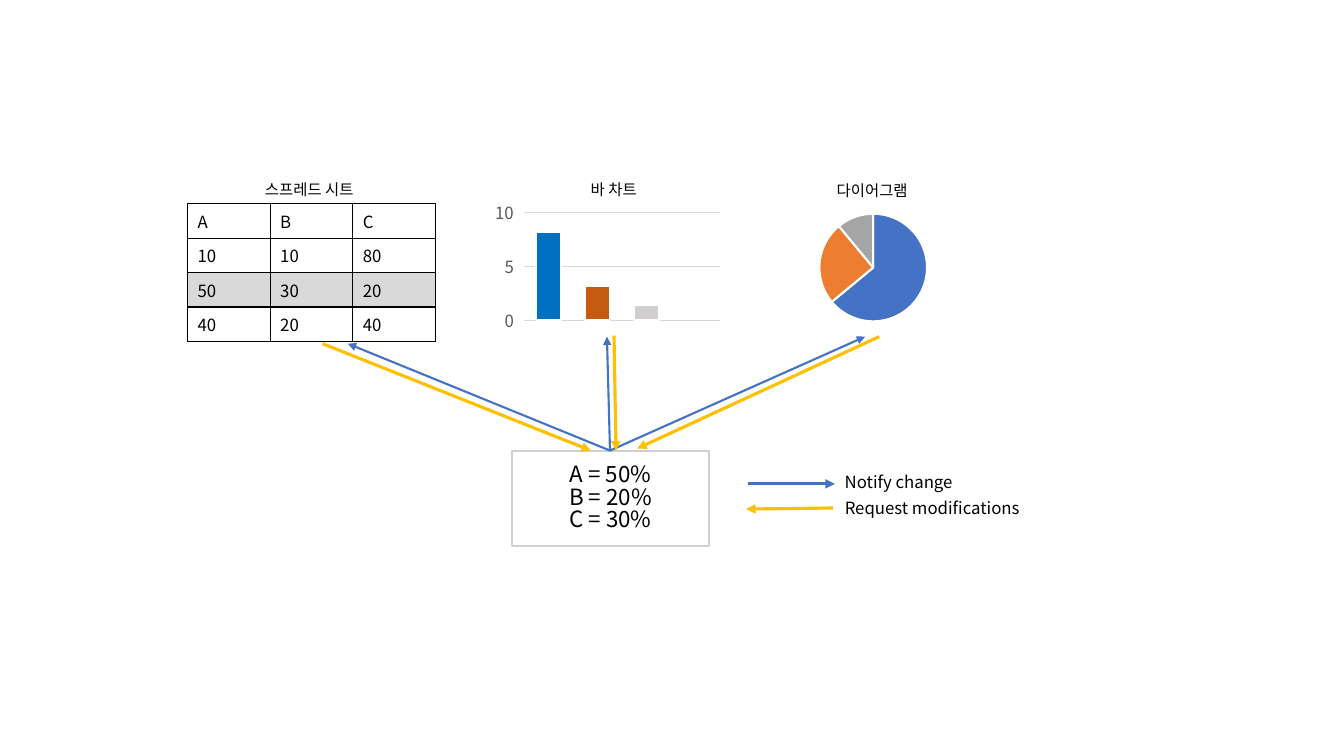
"""Build a slide where one data model feeds a table, a bar chart and a pie chart."""
import pptx
import pptx.chart.data
import pptx.dml.color
import pptx.enum.chart
import pptx.enum.shapes
import pptx.enum.text
import pptx.oxml
import pptx.oxml.ns
import pptx.util

Inches = pptx.util.Inches
Pt = pptx.util.Pt
FONT = "Noto Sans CJK KR"
HEX = {"black": "000000", "white": "FFFFFF", "blue": "4472C4", "gold": "FFC000",
       "orange": "ED7D31", "gray": "A5A5A5", "navy": "0070C0", "rust": "C55A11",
       "silver": "D0CECE", "pale": "D6DCE5", "grid": "D9D9D9", "text": "595959"}

MODEL = ["A = 50%", "B = 20%", "C = 30%"]
ROWS = [["A", "B", "C"], ["10", "10", "80"], ["50", "30", "20"], ["40", "20", "40"]]
MARKED = 2
CATS = ["1", "2", "3", ""]
PIE = {"kind": "PIE", "left": 7.42, "vals": [64, 25, 11, None],
       "tints": ["blue", "orange", "gray", "gold"], "plot": (0.1, 0.11, 0.87, 0.78)}
BARS = {"kind": "COLUMN_CLUSTERED", "left": 4.87, "vals": [8.2, 3.2, 1.4, None],
        "tints": ["navy", "rust", "silver", "pale"], "plot": (0.14, 0.1, 0.84, 0.78)}
HUB = (6.05, 4.47)
ARROWS = [
    (HUB, (3.45, 3.41), "blue", 1.5),
    (HUB, (6.02, 3.34), "blue", 1.5),
    (HUB, (8.58, 3.34), "blue", 1.5),
    ((8.26, 5.04), (7.4, 5.05), "gold", 2.25),
    ((3.2, 3.41), (5.86, 4.47), "gold", 2.25),
    ((6.09, 3.33), (6.11, 4.47), "gold", 2.25),
    ((8.72, 3.34), (6.32, 4.45), "gold", 2.25),
    ((7.42, 4.8), (8.28, 4.8), "blue", 2.25),
]
LABELS = [
    ("Notify change", 8.28, 4.63, 1.36, 0.3, 12),
    ("Request modifications", 8.28, 4.89, 1.95, 0.3, 12),
    ("스프레드 시트", 2.53, 1.73, 1.23, 0.29, 11),
    ("바 차트", 5.76, 1.73, 0.75, 0.29, 11),
    ("다이어그램", 8.2, 1.74, 1.03, 0.29, 11),
]


def tint(name):
    return pptx.dml.color.RGBColor.from_string(HEX[name])


def paint(fill, name):
    fill.solid()
    fill.fore_color.rgb = tint(name)


def stroke(line, name, width):
    line.color.rgb = tint(name)
    line.width = Pt(width)


def style(font, size, name="black"):
    font.size = Pt(size)
    font.name = FONT
    font.color.rgb = tint(name)


def write(frame, text, size):
    frame.text = text
    for para in frame.paragraphs:
        for run in para.runs:
            style(run.font, size)
            latin = run.font._element.find(pptx.oxml.ns.qn("a:latin"))
            latin.addnext(xml(f'<a:ea {NS} typeface="{FONT}"/>'))


NS = pptx.oxml.ns.nsdecls("a")
xml = pptx.oxml.parse_xml


def add_model(shapes):
    box = shapes.add_shape(pptx.enum.shapes.MSO_SHAPE.RECTANGLE,
                           Inches(5.08), Inches(4.47), Inches(1.95), Inches(0.95))
    box.shadow.inherit = False
    paint(box.fill, "white")
    stroke(box.line, "silver", 1.5)
    write(box.text_frame, "\n".join(MODEL), 16)
    box.text_frame.vertical_anchor = pptx.enum.text.MSO_ANCHOR.MIDDLE
    for para in box.text_frame.paragraphs:
        para.alignment = pptx.enum.text.PP_ALIGN.CENTER
        para.line_spacing = 0.83


def add_graph(shapes, info):
    data = pptx.chart.data.CategoryChartData()
    data.categories = CATS
    data.add_series("Series 1", info["vals"])
    kind = pptx.enum.chart.XL_CHART_TYPE[info["kind"]]
    chart = shapes.add_chart(kind, Inches(info["left"]), Inches(1.97),
                             Inches(2.32), Inches(1.37), data).chart
    chart.has_legend = False
    chart.has_title = False
    style(chart.font, 10)
    series = chart.plots[0].series[0]
    for i, name in enumerate(info["tints"]):
        form = series.points[i].format
        paint(form.fill, name)
        stroke(form.line, "white", 1.5)
    area = chart._chartSpace.chart.plotArea
    for old in area.findall(pptx.oxml.ns.qn("c:layout")):
        area.remove(old)
    spots = "".join(f'<c:{tag} val="{val}"/>' for tag, val in zip("xywh", info["plot"]))
    area.insert(0, xml(
        f'<c:layout {pptx.oxml.ns.nsdecls("c")}><c:manualLayout>'
        '<c:layoutTarget val="inner"/><c:xMode val="edge"/><c:yMode val="edge"/>'
        f'{spots}</c:manualLayout></c:layout>'))
    return chart


def add_bars(shapes):
    chart = add_graph(shapes, BARS)
    plot = chart.plots[0]
    plot.gap_width = 100
    plot.vary_by_categories = False
    paint(plot.series[0].format.fill, "pale")
    stroke(plot.series[0].format.line, "white", 1.5)
    chart.category_axis.visible = False
    axis = chart.value_axis
    axis.minimum_scale, axis.maximum_scale, axis.major_unit = 0, 10, 5
    axis.format.line.fill.background()
    axis.has_major_gridlines = True
    stroke(axis.major_gridlines.format.line, "grid", 0.75)
    style(axis.tick_labels.font, 12, "text")


def add_sheet(shapes):
    table = shapes.add_table(len(ROWS), len(ROWS[0]), Inches(1.86), Inches(2.02),
                             Inches(2.46), Inches(1.36)).table
    table.first_row = False
    table.horz_banding = False
    for r, row in enumerate(ROWS):
        for c, text in enumerate(row):
            cell = table.cell(r, c)
            write(cell.text_frame, text, 12)
            props = cell._tc.get_or_add_tcPr()
            for side in "LRTB":
                props.append(xml(
                    f'<a:ln{side} {NS} w="12700"><a:solidFill>'
                    f'<a:srgbClr val="{HEX["black"]}"/></a:solidFill></a:ln{side}>'))
            if r == MARKED:
                paint(cell.fill, "grid")
            else:
                cell.fill.background()


def add_arrow(shapes, start, end, name, width):
    points = [Inches(v) for v in start + end]
    arrow = shapes.add_connector(pptx.enum.shapes.MSO_CONNECTOR.STRAIGHT, *points)
    stroke(arrow.line, name, width)
    arrow.line._get_or_add_ln().append(xml(f'<a:tailEnd {NS} type="triangle"/>'))
    arrow._element.spPr.append(xml(f"<a:effectLst {NS}/>"))


def add_label(shapes, text, left, top, width, height, size):
    frame = shapes.add_textbox(Inches(left), Inches(top),
                               Inches(width), Inches(height)).text_frame
    frame.word_wrap = True
    frame.vertical_anchor = pptx.enum.text.MSO_ANCHOR.MIDDLE
    write(frame, text, size)


def main():
    deck = pptx.Presentation()
    deck.slide_width, deck.slide_height = Inches(13.33), Inches(7.5)
    shapes = deck.slides.add_slide(deck.slide_layouts[6]).shapes
    add_model(shapes)
    add_graph(shapes, PIE)
    add_bars(shapes)
    add_sheet(shapes)
    for arrow in ARROWS:
        add_arrow(shapes, *arrow)
    for label in LABELS:
        add_label(shapes, *label)
    deck.save("out.pptx")


if __name__ == "__main__":
    main()
